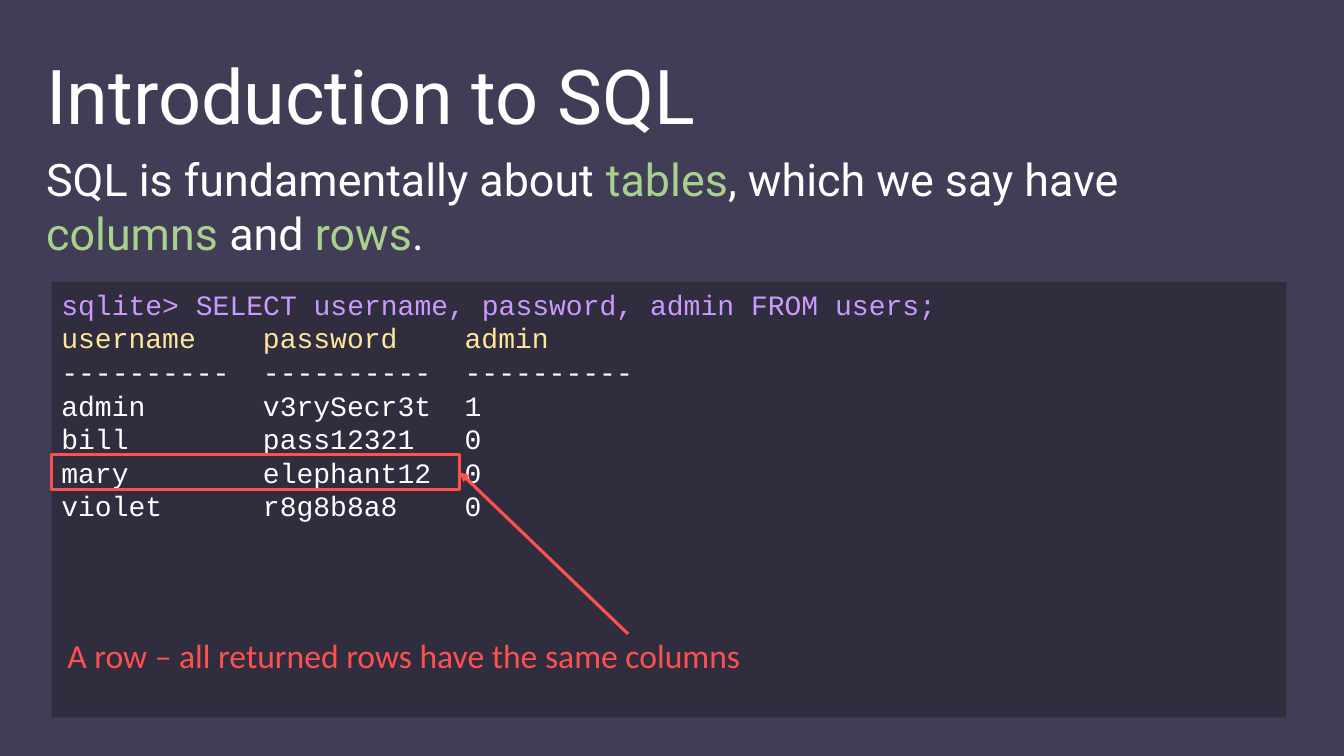
from lxml.etree import SubElement
from pptx import Presentation
from pptx.dml.color import RGBColor
from pptx.enum.shapes import MSO_CONNECTOR as Link, MSO_SHAPE as Shape
from pptx.enum.text import MSO_ANCHOR as Anchor, MSO_AUTO_SIZE as Fit, PP_ALIGN as Align
from pptx.oxml.ns import qn
from pptx.util import Inches, Pt

HUES = {"back": "423D56", "panel": "302D3F", "white": "FFFFFF", "green": "A9D18E",
        "violet": "CC99FF", "yellow": "FFE699", "red": "FF5050"}
RULE = "-" * 10
ROWS = [("username", "password", "admin"), (RULE, RULE, RULE),
        ("admin", "v3rySecr3t", "1"), ("bill", "pass12321", "0"),
        ("mary", "elephant12", "0"), ("violet", "r8g8b8a8", "0")]


def color(name):
    """Return the named colour."""
    return RGBColor.from_string(HUES[name])


def write(frame, lines, font, size, tabs=()):
    """Fill a frame with lines, each a list of (text, hue) runs."""
    for i, line in enumerate(lines):
        para = frame.paragraphs[0] if i == 0 else frame.add_paragraph()
        para.alignment = Align.LEFT
        if tabs:
            stops = SubElement(para._p.get_or_add_pPr(), qn("a:tabLst"))
            for stop in tabs:
                SubElement(stops, qn("a:tab"), pos=str(Inches(stop)), algn="l")
        for text, hue in line:
            run = para.add_run()
            run.text = text
            run.font.name, run.font.size = font, Pt(size)
            run.font.color.rgb = color(hue)


def add_text(slide, box, lines, font="Roboto", size=32, wrap=True):
    """Add a text box that grows with its text."""
    frame = slide.shapes.add_textbox(*map(Inches, box)).text_frame
    frame.word_wrap = wrap
    frame.auto_size = Fit.SHAPE_TO_FIT_TEXT
    write(frame, lines, font, size)


def add_rect(slide, box, fill=None, line=None):
    """Add a rectangle, filled or outlined."""
    rect = slide.shapes.add_shape(Shape.RECTANGLE, *map(Inches, box))
    rect.shadow.inherit = False
    if fill:
        rect.fill.solid()
        rect.fill.fore_color.rgb = color(fill)
    else:
        rect.fill.background()
    if line:
        rect.line.color.rgb = color(line)
        rect.line.width = Pt(2.25)
    else:
        rect.line.fill.background()
    return rect


def add_arrow(slide, start, rect, side, hue):
    """Draw an arrow from a point to a side of a rectangle."""
    x, y = map(Inches, start)
    arrow = slide.shapes.add_connector(Link.STRAIGHT, x, y, x, y)
    arrow.end_connect(rect, side)
    arrow.line.color.rgb = color(hue)
    arrow.line.width = Pt(2.25)
    SubElement(arrow.line._get_or_add_ln(), qn("a:tailEnd"), type="triangle")
    SubElement(arrow._element.spPr, qn("a:effectLst"))


def add_code(slide, box):
    """Add the console panel with the query and its result."""
    frame = add_rect(slide, box, fill="panel").text_frame
    frame.word_wrap = True
    frame.vertical_anchor = Anchor.TOP
    lines = [[("sqlite> SELECT username, password, admin FROM users;", "violet")]]
    for i, row in enumerate(ROWS):
        lines.append([("\t".join(row), "white" if i else "yellow")])
    write(frame, lines, "Courier New", 20, tabs=(2, 4))


def main():
    """Build the slide and save it."""
    deck = Presentation()
    deck.slide_width, deck.slide_height = Inches(13.33), Inches(7.5)
    slide = deck.slides.add_slide(deck.slide_layouts[6])
    slide.background.fill.solid()
    slide.background.fill.fore_color.rgb = color("back")

    add_text(slide, (0.36, 1.46, 12.6, 1.18), [[
        ("SQL is fundamentally about ", "white"), ("tables", "green"),
        (", which we say have ", "white"), ("columns ", "green"),
        ("and ", "white"), ("rows", "green"), (".", "white")]])
    add_text(slide, (0.36, 0.44, 12.49, 1.02),
             [[("Introduction to SQL", "white")]], size=54)
    add_code(slide, (0.51, 2.8, 12.25, 4.32))
    mark = add_rect(slide, (0.51, 4.51, 4.05, 0.35), line="red")
    add_text(slide, (0.57, 6.25, 6.94, 0.5),
             [[("A row – all returned rows have the same columns", "red")]],
             font="Calibri", size=24, wrap=False)
    add_arrow(slide, (6.23, 6.29), mark, 3, "red")
    deck.save("out.pptx")


if __name__ == "__main__":
    main()
